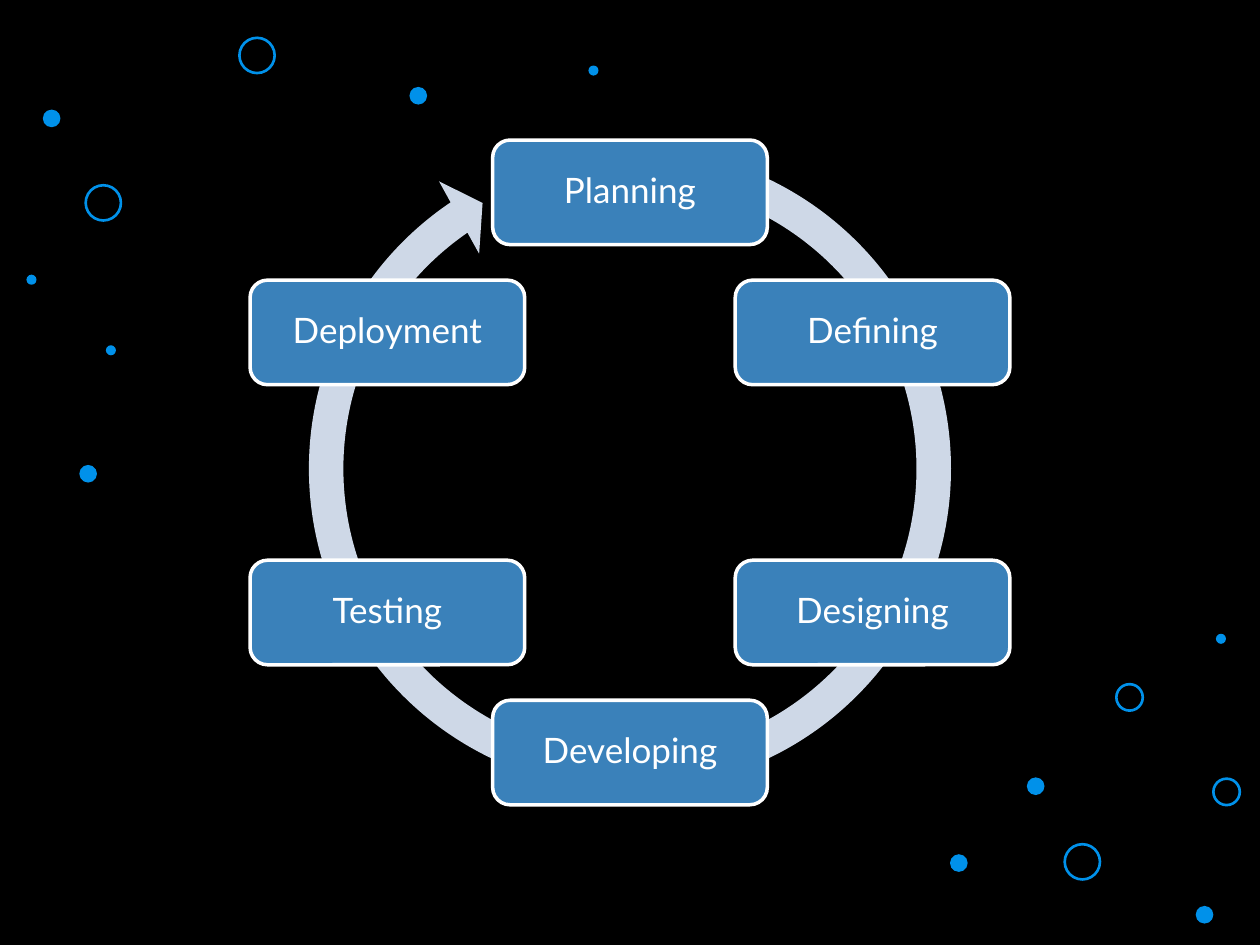
import math
from pptx import Presentation
from pptx import util as u
from pptx.dml.color import RGBColor
from pptx.enum import shapes, text

COLUMNS, ROWS = 100, 75
PHASES = ["Planning", "Defining", "Designing", "Developing", "Testing", "Deployment"]
SMALL_DOTS = [(96.5, 50.3), (2.1, 21.8), (8.4, 27.4), (46.7, 5.2)]
LARGE_DOTS = [(75.4, 67.8), (81.5, 61.7), (94.9, 71.9), (32.5, 6.9), (6.3, 36.9), (3.4, 8.7)]
SMALL_RINGS = [(88.6, 54.3), (96.3, 61.8)]
LARGE_RINGS = [(6.8, 14.7), (19, 3), (84.5, 67)]


def color(value):
    return RGBColor.from_string(value)


def write(frame, words, font="Lato", size=20, ink="FFFFFF", inset=0.12):
    frame.word_wrap = True
    frame.vertical_anchor = text.MSO_ANCHOR.MIDDLE
    frame.margin_left = frame.margin_right = u.Inches(inset)
    frame.margin_top = frame.margin_bottom = u.Inches(inset)
    line = frame.paragraphs[0]
    line.alignment = text.PP_ALIGN.CENTER
    line.line_spacing = 0.9
    run = line.add_run()
    run.text = words
    run.font.name = font
    run.font.size = u.Pt(size)
    run.font.color.rgb = color(ink)


class CycleSlide:
    background, accent, track, box, edge = "000000", "0091EA", "CED8E7", "3A81BA", "FFFFFF"

    def __init__(self, deck):
        self.slide = deck.slides.add_slide(deck.slide_layouts[6])
        self.column = deck.slide_width / COLUMNS
        self.row = deck.slide_height / ROWS
        self.slide.background.fill.solid()
        self.slide.background.fill.fore_color.rgb = color(self.background)

    def shape(self, kind, left, top, width, height, fill=None, line=None, weight=1.5):
        item = self.slide.shapes.add_shape(
            kind, round(left * self.column), round(top * self.row),
            round(width * self.column), round(height * self.row))
        item.shadow.inherit = False
        if fill:
            item.fill.solid()
            item.fill.fore_color.rgb = color(fill)
        else:
            item.fill.background()
        if line:
            item.line.color.rgb = color(line)
            item.line.width = u.Pt(weight)
        else:
            item.line.fill.background()
        return item

    def circles(self, corners, size, **look):
        for left, top in corners:
            self.shape(shapes.MSO_SHAPE.OVAL, left, top, size, size, **look)

    def arrow(self, left, top, size, bends):
        track = self.shape(shapes.MSO_SHAPE.CIRCULAR_ARROW, left, top, size, size, fill=self.track)
        for index, bend in enumerate(bends):
            track.adjustments[index] = bend

    def phase(self, words, center_x, center_y, width=21.8, height=8.3):
        box = self.shape(
            shapes.MSO_SHAPE.ROUNDED_RECTANGLE, center_x - width / 2, center_y - height / 2,
            width, height, fill=self.box, line=self.edge, weight=2)
        write(box.text_frame, words)

    def cycle(self, phases, center_x, center_y, radius):
        for index, words in enumerate(phases):
            angle = math.tau * index / len(phases)
            self.phase(words, center_x + radius * math.sin(angle),
                       center_y - radius * math.cos(angle))


def main():
    deck = Presentation()
    deck.slide_width, deck.slide_height = u.Inches(10), u.Inches(7.5)
    page = CycleSlide(deck)
    page.circles(SMALL_DOTS, 0.8, fill=page.accent)
    page.circles(LARGE_DOTS, 1.4, fill=page.accent)
    page.circles(SMALL_RINGS, 2.1, line=page.accent)
    page.circles(LARGE_RINGS, 2.8, line=page.accent)
    page.arrow(22.6, 9.8, 54.8, (0.05, 3.13, 141.46, 171.75, 0.06))
    page.cycle(PHASES, COLUMNS / 2, ROWS / 2, 22.23)
    deck.save("out.pptx")


if __name__ == "__main__":
    main()
